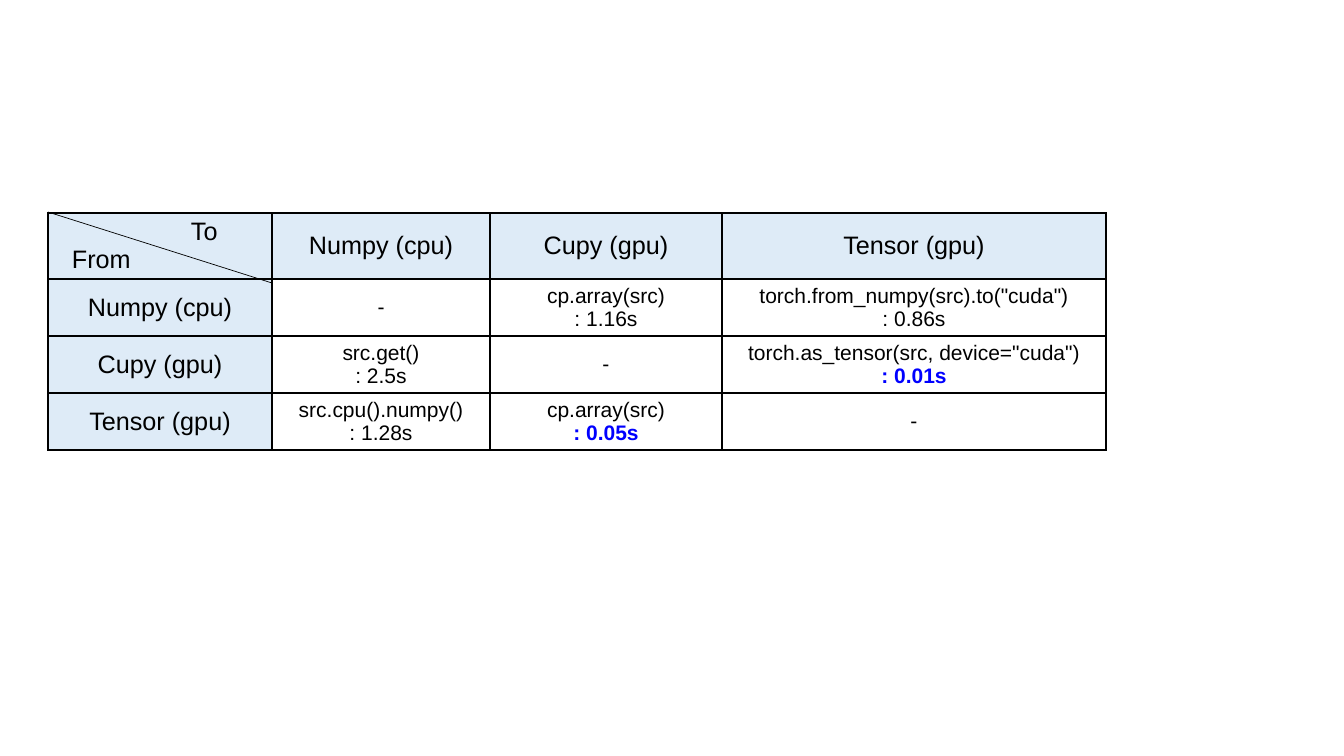
from dataclasses import dataclass

from lxml.etree import SubElement
from pptx import Presentation
from pptx.dml.color import RGBColor
from pptx.enum.shapes import MSO_CONNECTOR
from pptx.enum.text import MSO_ANCHOR, PP_ALIGN
from pptx.oxml.ns import qn
from pptx.slide import Slide
from pptx.table import _Cell
from pptx.util import Emu, Pt

EMU_PER_PX = 914400 / 100.8
PAGE_WIDTH, PAGE_HEIGHT = 1344, 756
TABLE_LEFT, TABLE_TOP = 48, 213
COLUMN_WIDTHS = [224, 218, 232, 384]
ROW_HEIGHTS = [66, 57, 57, 57]
SIDE_MARGIN, EDGE_MARGIN = 10, 4
BLACK, BLUE, PALE_BLUE = "000000", "0000FF", "DEEBF7"


@dataclass(frozen=True)
class Line:
    text: str
    size: int = 15
    color: str = BLACK
    bold: bool = False
    indent: int | None = None


@dataclass(frozen=True)
class Entry:
    lines: list[Line]
    fill: str | None = None


def px(length: int) -> Emu:
    return Emu(round(length * EMU_PER_PX))


def rgb(value: str) -> RGBColor:
    return RGBColor.from_string(value)


def header(name: str) -> Entry:
    return Entry([Line(name, 18)], PALE_BLUE)


def conversion(call: str, time: str, fast: bool = False) -> Entry:
    return Entry([Line(call), Line(f": {time}", color=BLUE if fast else BLACK, bold=fast)])


KINDS = [header(name) for name in ("Numpy (cpu)", "Cupy (gpu)", "Tensor (gpu)")]
CORNER = Entry([Line("To", 18, indent=133), Line("From", 18, indent=14)], PALE_BLUE)
SAME = Entry([Line("-")])
CONVERSIONS = [
    [SAME, conversion("cp.array(src)", "1.16s"),
     conversion('torch.from_numpy(src).to("cuda")', "0.86s")],
    [conversion("src.get()", "2.5s"), SAME,
     conversion('torch.as_tensor(src, device="cuda")', "0.01s", fast=True)],
    [conversion("src.cpu().numpy()", "1.28s"),
     conversion("cp.array(src)", "0.05s", fast=True), SAME],
]
ROWS = [[CORNER, *KINDS]] + [[kind, *row] for kind, row in zip(KINDS, CONVERSIONS)]


def draw_borders(cell: _Cell) -> None:
    properties = cell._tc.get_or_add_tcPr()
    for side in ("lnL", "lnR", "lnT", "lnB"):
        border = SubElement(properties, qn(f"a:{side}"), w=str(Pt(1)))
        paint = SubElement(border, qn("a:solidFill"))
        SubElement(paint, qn("a:srgbClr"), val=BLACK)


def fill_cell(cell: _Cell, entry: Entry) -> None:
    draw_borders(cell)
    if entry.fill:
        cell.fill.solid()
        cell.fill.fore_color.rgb = rgb(entry.fill)
    else:
        cell.fill.background()
    cell.vertical_anchor = MSO_ANCHOR.MIDDLE
    cell.margin_left = cell.margin_right = px(SIDE_MARGIN)
    cell.margin_top = cell.margin_bottom = px(EDGE_MARGIN)
    frame = cell.text_frame
    for index, line in enumerate(entry.lines):
        para = frame.add_paragraph() if index else frame.paragraphs[0]
        if line.indent is None:
            para.alignment = PP_ALIGN.CENTER
        else:
            para.alignment = PP_ALIGN.LEFT
            para._p.get_or_add_pPr().set("marL", str(px(line.indent)))
        span = para.add_run()
        span.text = line.text
        span.font.name = "Arial"
        span.font.size = Pt(line.size)
        span.font.bold = line.bold
        span.font.color.rgb = rgb(line.color)


def draw_table(page: Slide) -> None:
    table = page.shapes.add_table(
        len(ROW_HEIGHTS), len(COLUMN_WIDTHS), px(TABLE_LEFT), px(TABLE_TOP),
        px(sum(COLUMN_WIDTHS)), px(sum(ROW_HEIGHTS))).table
    table.first_row = table.horz_banding = False
    for column, width in zip(table.columns, COLUMN_WIDTHS):
        column.width = px(width)
    for row, height, entries in zip(table.rows, ROW_HEIGHTS, ROWS):
        row.height = px(height)
        for cell, entry in zip(row.cells, entries):
            fill_cell(cell, entry)


def draw_diagonal(page: Slide) -> None:
    diagonal = page.shapes.add_connector(
        MSO_CONNECTOR.STRAIGHT, px(TABLE_LEFT), px(212), px(272), px(283))
    diagonal.line.color.rgb = rgb(BLACK)
    diagonal.line.width = Pt(0.5)
    SubElement(diagonal._element.spPr, qn("a:effectLst"))


def main() -> None:
    """Build the slide comparing conversion times between array types."""
    deck = Presentation()
    deck.slide_width, deck.slide_height = px(PAGE_WIDTH), px(PAGE_HEIGHT)
    page = deck.slides.add_slide(deck.slide_layouts[6])
    draw_table(page)
    draw_diagonal(page)
    deck.save("out.pptx")


if __name__ == "__main__":
    main()
